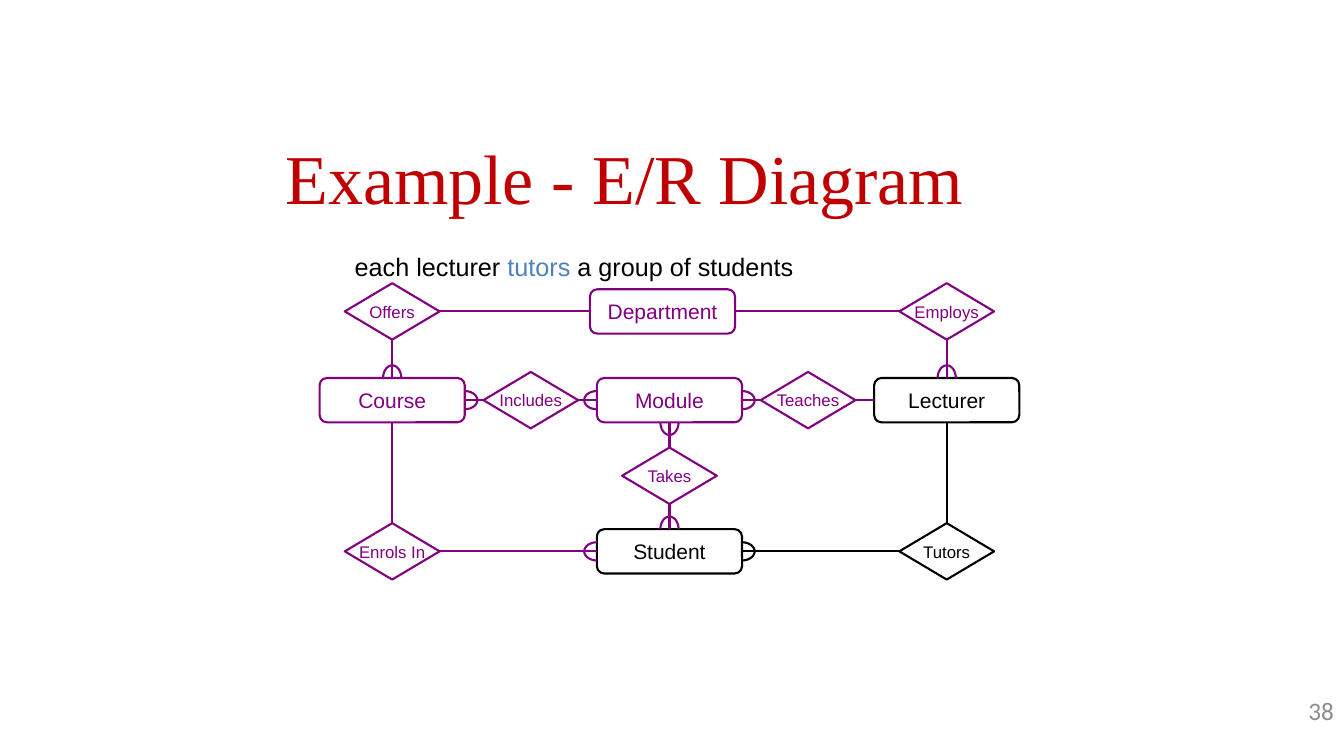
from dataclasses import dataclass
from math import cos, pi, sin

from lxml.etree import SubElement
from pptx import Presentation
from pptx.dml.color import RGBColor
from pptx.enum.shapes import MSO_CONNECTOR, MSO_SHAPE
from pptx.enum.text import MSO_ANCHOR, MSO_AUTO_SIZE, PP_ALIGN
from pptx.oxml.ns import qn
from pptx.shapes.base import BaseShape
from pptx.slide import Slide
from pptx.text.text import TextFrame, _Paragraph as Paragraph
from pptx.util import Inches, Pt

COLOURS = {
    "title": "C00000",
    "number": "8C8C8C",
    "known": "800080",
    "new": "000000",
    "accent": "4F81BD",
}
LEFT, COLUMN_STEP = 3.89, 1.375
TOP_ROW, MIDDLE_ROW, LOWER_ROW, BOTTOM_ROW = 3.09, 3.97, 4.72, 5.47
MANY_DEPTH, MANY_HALF = 0.125, 0.09
ARC_STEPS = 24


@dataclass(frozen=True)
class Node:
    name: str
    column: float
    y: float
    colour: str = "known"

    @property
    def x(self) -> float:
        return LEFT + self.column * COLUMN_STEP


@dataclass(frozen=True)
class NodeStyle:
    preset: MSO_SHAPE
    width: float
    height: float
    size: int


@dataclass(frozen=True)
class Link:
    entity: str
    relation: str
    many: bool = True


ENTITY = NodeStyle(MSO_SHAPE.ROUNDED_RECTANGLE, 1.44, 0.44, 15)
RELATION = NodeStyle(MSO_SHAPE.DIAMOND, 0.94, 0.56, 12)

ENTITIES = [
    Node("Module", 2, MIDDLE_ROW),
    Node("Course", 0, MIDDLE_ROW),
    Node("Department", 1.95, TOP_ROW),
    Node("Student", 2, BOTTOM_ROW, "new"),
    Node("Lecturer", 4, MIDDLE_ROW, "new"),
]
RELATIONS = [
    Node("Includes", 1, MIDDLE_ROW),
    Node("Offers", 0, TOP_ROW),
    Node("Tutors", 4, BOTTOM_ROW, "new"),
    Node("Enrols In", 0, BOTTOM_ROW),
    Node("Takes", 2, LOWER_ROW),
    Node("Employs", 4, TOP_ROW),
    Node("Teaches", 3, MIDDLE_ROW),
]
LINKS = [
    Link("Course", "Includes"),
    Link("Module", "Includes"),
    Link("Module", "Teaches"),
    Link("Lecturer", "Teaches", many=False),
    Link("Lecturer", "Employs"),
    Link("Department", "Employs", many=False),
    Link("Department", "Offers", many=False),
    Link("Course", "Offers"),
    Link("Course", "Enrols In", many=False),
    Link("Student", "Enrols In"),
    Link("Student", "Takes"),
    Link("Module", "Takes"),
    Link("Student", "Tutors"),
    Link("Lecturer", "Tutors", many=False),
]


def rgb(colour: str) -> RGBColor:
    return RGBColor.from_string(COLOURS[colour])


def add_span(para: Paragraph, text: str, font: str, size: int, colour: str) -> None:
    span = para.add_run()
    span.text = text
    span.font.name = font
    span.font.size = Pt(size)
    span.font.color.rgb = rgb(colour)


def clear_margins(frame: TextFrame) -> None:
    frame.margin_left = frame.margin_right = 0
    frame.margin_top = frame.margin_bottom = 0


def outline(shape: BaseShape, colour: str) -> None:
    shape.shadow.inherit = False
    shape.fill.background()
    shape.line.color.rgb = rgb(colour)
    shape.line.width = Pt(1.5)


def add_title(page: Slide) -> None:
    title = page.shapes.title
    title.left, title.top = Inches(2.83), Inches(1.25)
    title.width, title.height = Inches(8.92), Inches(1.68)
    frame = title.text_frame
    clear_margins(frame)
    frame.margin_top = Inches(0.08)
    frame.auto_size = MSO_AUTO_SIZE.NONE
    frame.vertical_anchor = MSO_ANCHOR.TOP
    para = frame.paragraphs[0]
    para.alignment = PP_ALIGN.LEFT
    add_span(para, "Example - E/R Diagram", "Times New Roman", 50, "title")


def add_page_number(page: Slide) -> None:
    box = page.shapes.add_textbox(Inches(12.56), Inches(6.9), Inches(0.67), Inches(0.52))
    frame = box.text_frame
    frame.word_wrap = True
    clear_margins(frame)
    para = frame.paragraphs[0]
    para.alignment = PP_ALIGN.RIGHT
    add_span(para, "38", "Calibri", 18, "number")


def add_caption(page: Slide) -> None:
    box = page.shapes.add_textbox(Inches(3.42), Inches(2.44), Inches(6.5), Inches(0.4))
    box.text_frame.word_wrap = True
    para = box.text_frame.paragraphs[0]
    for text, colour in (
        ("each lecturer ", "new"),
        ("tutors", "accent"),
        (" a group of students", "new"),
    ):
        add_span(para, text, "Arial", 18, colour)


def add_node(page: Slide, node: Node, style: NodeStyle) -> None:
    shape = page.shapes.add_shape(
        style.preset,
        Inches(node.x - style.width / 2),
        Inches(node.y - style.height / 2),
        Inches(style.width),
        Inches(style.height),
    )
    outline(shape, node.colour)
    frame = shape.text_frame
    frame.word_wrap = False
    frame.vertical_anchor = MSO_ANCHOR.MIDDLE
    para = frame.paragraphs[0]
    para.alignment = PP_ALIGN.CENTER
    add_span(para, node.name, "Arial", style.size, node.colour)


def add_many_mark(page: Slide, x: float, y: float, dx: int, dy: int, colour: str) -> None:
    points = []
    for step in range(ARC_STEPS + 1):
        angle = pi * (step / ARC_STEPS - 0.5)
        out, across = MANY_DEPTH * cos(angle), MANY_HALF * sin(angle)
        points.append((Inches(x + dx * out - dy * across), Inches(y + dy * out + dx * across)))
    builder = page.shapes.build_freeform(*points[0])
    builder.add_line_segments(points[1:], close=False)
    outline(builder.convert_to_shape(), colour)


def add_link(page: Slide, entity: Node, relation: Node, many: bool) -> None:
    dx = 0 if entity.y != relation.y else (1 if relation.x > entity.x else -1)
    dy = 0 if dx else (1 if relation.y > entity.y else -1)
    start_x = entity.x + dx * ENTITY.width / 2
    start_y = entity.y + dy * ENTITY.height / 2
    end_x = relation.x - dx * RELATION.width / 2
    end_y = relation.y - dy * RELATION.height / 2
    line = page.shapes.add_connector(
        MSO_CONNECTOR.STRAIGHT, Inches(start_x), Inches(start_y), Inches(end_x), Inches(end_y)
    )
    line.line.color.rgb = rgb(relation.colour)
    line.line.width = Pt(1.5)
    SubElement(line._element.spPr, qn("a:effectLst"))
    if many:
        add_many_mark(page, start_x, start_y, dx, dy, relation.colour)


def main() -> None:
    deck = Presentation()
    deck.slide_width, deck.slide_height = Inches(13.33), Inches(7.5)
    page = deck.slides.add_slide(deck.slide_layouts[5])
    add_title(page)
    add_page_number(page)
    for nodes, style in ((ENTITIES, ENTITY), (RELATIONS, RELATION)):
        for node in nodes:
            add_node(page, node, style)
    by_name = {node.name: node for node in ENTITIES + RELATIONS}
    for link in LINKS:
        add_link(page, by_name[link.entity], by_name[link.relation], link.many)
    add_caption(page)
    deck.save("out.pptx")


if __name__ == "__main__":
    main()
